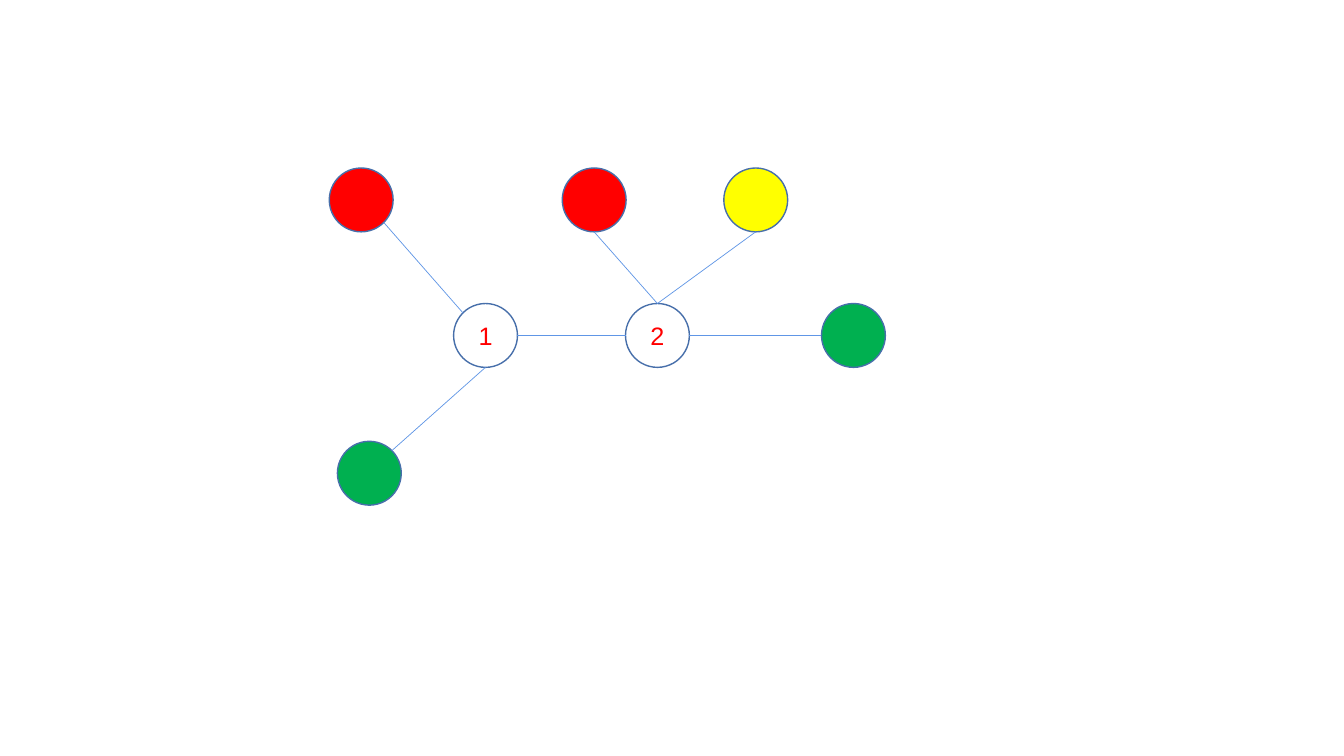
"""Draw a small graph of two numbered nodes with coloured neighbours."""
import math

import pptx
import pptx.dml.color
import pptx.enum.shapes
import pptx.enum.text
import pptx.oxml
import pptx.util

Pt = pptx.util.Pt
RGB = pptx.dml.color.RGBColor
RED = RGB(0xFF, 0x00, 0x00)
GREEN = RGB(0x00, 0xB0, 0x50)
YELLOW = RGB(0xFF, 0xFF, 0x00)
RIM = RGB(0x47, 0x6F, 0xAA)
EDGE = RGB(0x60, 0x96, 0xE6)

SIZE = 45.6
HIGH, MID, LOW = 120, 216.8, 315.2
NODES = {
    "east": (586.8, MID, GREEN, ""),
    "one": (324, MID, None, "1"),
    "west": (235.2, HIGH, RED, ""),
    "two": (446.8, MID, None, "2"),
    "north": (401.6, HIGH, RED, ""),
    "south": (241, LOW, GREEN, ""),
    "sun": (517, HIGH, YELLOW, ""),
}
ANGLES = {"right": 0, "low right": 45, "bottom": 90, "left": 180,
          "top left": 225, "top": 270}
EDGES = [
    ("west", "low right", "one", "top left"),
    ("south", "top right", "one", "bottom"),
    ("one", "right", "two", "left"),
    ("north", "bottom", "two", "top"),
    ("sun", "bottom", "two", "top"),
    ("east", "left", "two", "right"),
]
ANGLES["top right"] = 315


def add_node(slide, left, top, color, label):
    """Add one circle, filled if it has a colour."""
    oval = slide.shapes.add_shape(
        pptx.enum.shapes.MSO_SHAPE.OVAL, Pt(left), Pt(top), Pt(SIZE), Pt(SIZE))
    oval.shadow.inherit = False
    oval.line.color.rgb = RIM
    oval.line.width = Pt(1)
    if color is None:
        oval.fill.background()
    else:
        oval.fill.solid()
        oval.fill.fore_color.rgb = color
    if label:
        frame = oval.text_frame
        frame.text = label
        frame.vertical_anchor = pptx.enum.text.MSO_ANCHOR.MIDDLE
        para = frame.paragraphs[0]
        para.alignment = pptx.enum.text.PP_ALIGN.CENTER
        font = para.runs[0].font
        font.name = "Arial"
        font.size = Pt(18)
        font.color.rgb = RED


def rim_point(name, side):
    """Return the point on a node's rim at the given side."""
    left, top = NODES[name][:2]
    turn = math.radians(ANGLES[side])
    half = SIZE / 2
    return (Pt(left + half + half * math.cos(turn)),
            Pt(top + half + half * math.sin(turn)))


def add_edge(slide, start, leave, end, enter):
    """Add one straight line between two nodes."""
    line = slide.shapes.add_connector(
        pptx.enum.shapes.MSO_CONNECTOR.STRAIGHT,
        *rim_point(start, leave), *rim_point(end, enter))
    line.line.color.rgb = EDGE
    line.line.width = Pt(0.5)
    props = line._element.spPr
    props.append(pptx.oxml.parse_xml(
        '<a:effectLst xmlns:a='
        '"http://schemas.openxmlformats.org/drawingml/2006/main"/>'))


def main():
    """Build and save the slide."""
    deck = pptx.Presentation()
    deck.slide_width, deck.slide_height = Pt(960), Pt(540)
    slide = deck.slides.add_slide(deck.slide_layouts[6])
    for node in NODES.values():
        add_node(slide, *node)
    for edge in EDGES:
        add_edge(slide, *edge)
    deck.save("out.pptx")


if __name__ == "__main__":
    main()
